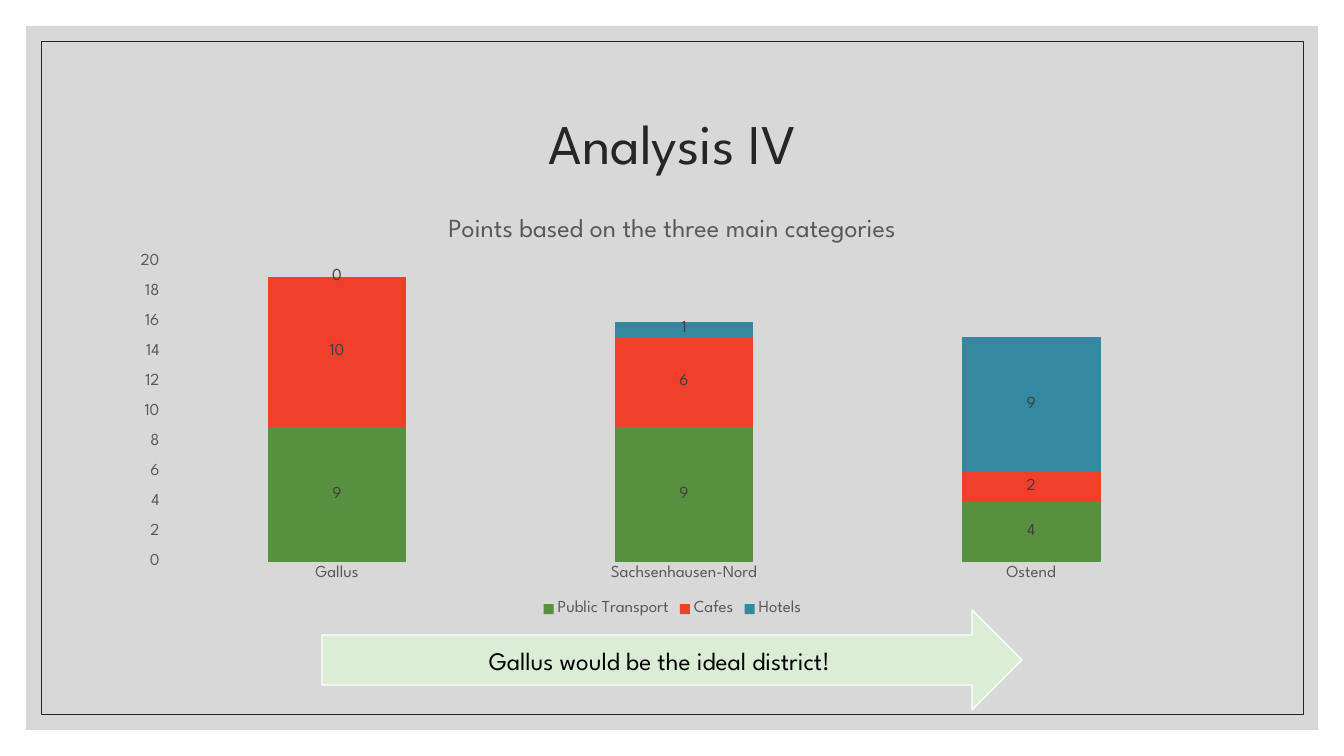
"""Build the Analysis IV slide: a stacked column chart and its verdict."""
import pptx
import pptx.chart.data
import pptx.dml.color
import pptx.enum.chart
import pptx.enum.shapes
import pptx.enum.text
import pptx.oxml
import pptx.oxml.ns
import pptx.util

FACE = "League Spartan"
TITLE = "Analysis IV"
HEAD = "Points based on the three main categories"
CLAIM = "Gallus would be the ideal district!"
AREAS = ("Gallus", "Sachsenhausen-Nord", "Ostend")
SERIES = (
    ("Public Transport", (9, 9, 4), "57903F"),
    ("Cafes", (10, 6, 2), "F03F2B"),
    ("Hotels", (0, 1, 9), "3488A0"),
)
BOXES = {
    "slide": (0, 0, 1344, 756),
    "panel": (26, 26, 1292, 704),
    "frame": (41, 41, 1262, 673),
    "title": (118, 71, 1109, 151),
    "chart": (118, 197, 1109, 424),
    "plot": (163, 262, 1041, 300),
    "arrow": (322, 610, 700, 100),
}
SCALE = 914400 / 100.8
KINDS = pptx.enum.shapes.MSO_SHAPE
TICKS = pptx.enum.chart.XL_TICK_MARK
CENTER = pptx.enum.text.PP_ALIGN.CENTER
MIDDLE = pptx.enum.text.MSO_ANCHOR.MIDDLE
Pt = pptx.util.Pt


def place(name):
    """Return a box in EMU."""
    return [round(px * SCALE) for px in BOXES[name]]


def apply(item, values):
    """Set each attribute of an item."""
    for key, value in values.items():
        setattr(item, key, value)


def paint(fill, color):
    """Fill with a solid hex colour."""
    fill.solid()
    fill.fore_color.rgb = pptx.dml.color.RGBColor.from_string(color)


def style(font, size, color):
    """Give a font its face, size and colour."""
    apply(font, {"name": FACE, "size": Pt(size), "bold": False})
    paint(font.fill, color)


def stroke(line, color, width):
    """Draw a line in a hex colour."""
    paint(line.fill, color)
    line.width = Pt(width)


def write(frame, text, size, color):
    """Put one centred paragraph in a text frame."""
    apply(frame, {"text": text, "word_wrap": True, "vertical_anchor": MIDDLE})
    para = frame.paragraphs[0]
    para.alignment = CENTER
    style(para.runs[0].font, size, color)
    return para


def shape(slide, kind, name, fill, line):
    """Add a preset shape with an optional fill and line."""
    item = slide.shapes.add_shape(kind, *place(name))
    item.shadow.inherit = False
    if fill:
        paint(item.fill, fill)
    else:
        item.fill.background()
    if line:
        stroke(item.line, *line)
    else:
        item.line.fill.background()
    return item


def fix_plot(chart):
    """Pin the inner plot area within the chart."""
    left, top, wide, high = BOXES["chart"]
    x, y, w, h = BOXES["plot"]
    parts = {"x": (x - left) / wide, "y": (y - top) / high,
             "w": w / wide, "h": h / high}
    rules = '<c:layoutTarget val="inner"/><c:xMode val="edge"/><c:yMode val="edge"/>'
    rules += "".join(f'<c:{key} val="{part:.3f}"/>' for key, part in parts.items())
    space = pptx.oxml.ns.nsdecls("c")
    layout = pptx.oxml.parse_xml(
        f"<c:layout {space}><c:manualLayout>{rules}</c:manualLayout></c:layout>")
    area = chart.plots[0]._element.getparent()
    for old in area.findall(pptx.oxml.ns.qn("c:layout")):
        area.remove(old)
    area.insert(0, layout)


def add_chart(slide):
    """Add the stacked columns."""
    data = pptx.chart.data.CategoryChartData()
    data.categories = AREAS
    for name, values, color in SERIES:
        data.add_series(name, values)
    kind = pptx.enum.chart.XL_CHART_TYPE.COLUMN_STACKED
    chart = slide.shapes.add_chart(kind, *place("chart"), data).chart
    style(chart.font, 10, "000000")
    apply(chart, {"has_title": True, "has_legend": True})
    head = chart.chart_title.text_frame
    head.text = HEAD
    style(head.paragraphs[0].runs[0].font, 18.6, "595959")
    apply(chart.legend, {"include_in_layout": False,
                         "position": pptx.enum.chart.XL_LEGEND_POSITION.BOTTOM})
    style(chart.legend.font, 12, "595959")
    for axis in (chart.category_axis, chart.value_axis):
        apply(axis, {"major_tick_mark": TICKS.NONE, "minor_tick_mark": TICKS.NONE})
        style(axis.tick_labels.font, 12, "595959")
    stroke(chart.category_axis.format.line, "D9D9D9", 0.75)
    scale = chart.value_axis
    apply(scale, {"minimum_scale": 0, "maximum_scale": 20, "major_unit": 2})
    scale.format.line.fill.background()
    stroke(scale.major_gridlines.format.line, "D9D9D9", 0.75)
    plot = chart.plots[0]
    apply(plot, {"gap_width": 150, "overlap": 100, "vary_by_categories": False})
    for series, (name, values, color) in zip(plot.series, SERIES):
        paint(series.format.fill, color)
        labels = series.data_labels
        labels.show_value = True
        style(labels.font, 12, "404040")
    fix_plot(chart)


def main():
    """Build and save the slide."""
    deck = pptx.Presentation()
    wide, high = place("slide")[2:]
    apply(deck, {"slide_width": wide, "slide_height": high})
    slide = deck.slides.add_slide(deck.slide_layouts[5])
    panel = shape(slide, KINDS.RECTANGLE, "panel", "BFBFBF", None)
    tint = panel.fill._xPr.find(".//" + pptx.oxml.ns.qn("a:srgbClr"))
    space = pptx.oxml.ns.nsdecls("a")
    tint.append(pptx.oxml.parse_xml(f'<a:alpha {space} val="60000"/>'))
    shape(slide, KINDS.RECTANGLE, "frame", None, ("262626", 0.5))
    title = slide.shapes.title
    apply(title, dict(zip(("left", "top", "width", "height"), place("title"))))
    write(title.text_frame, TITLE, 40, "262626").line_spacing = 0.9
    title.element.getparent().append(title.element)
    add_chart(slide)
    arrow = shape(slide, KINDS.RIGHT_ARROW, "arrow", "DCEDD5", ("FFFFFF", 1))
    write(arrow.text_frame, CLAIM, 18, "000000")
    deck.save("out.pptx")


if __name__ == "__main__":
    main()
